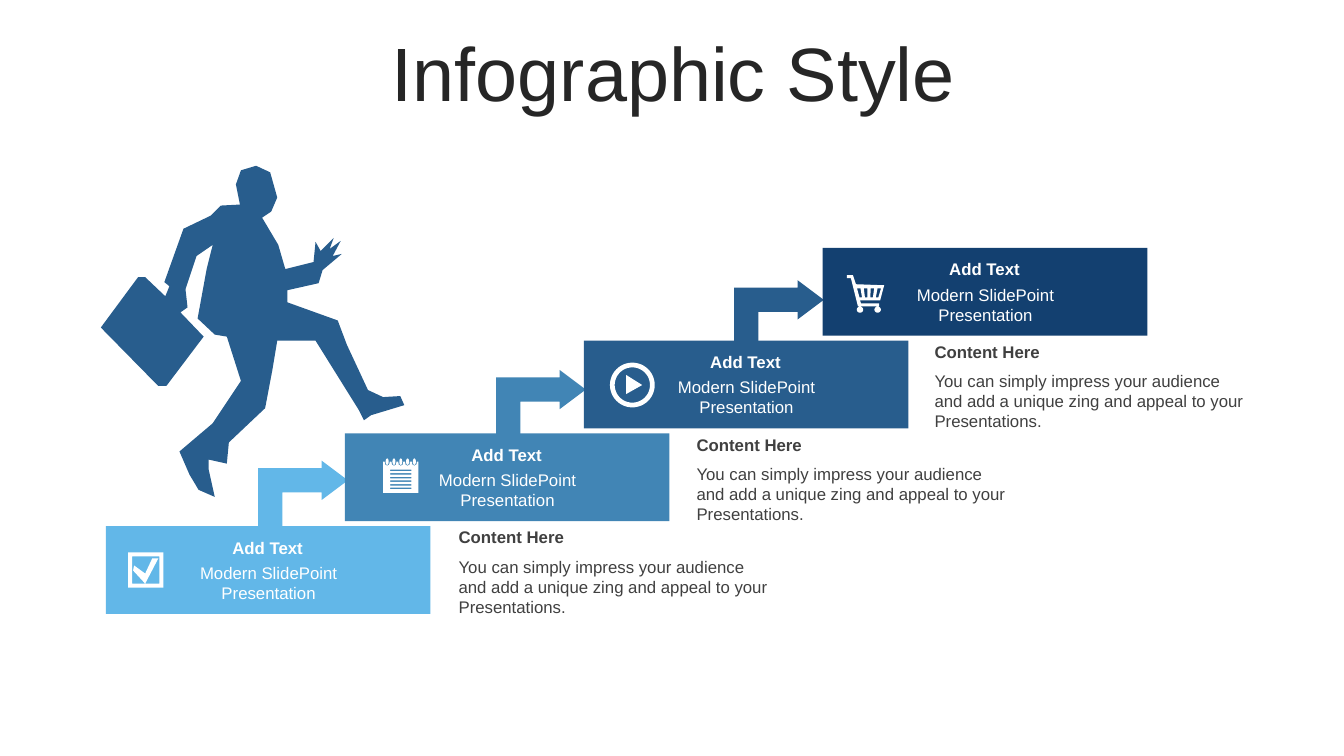
from dataclasses import dataclass
from math import cos, pi, sin

from pptx import Presentation
from pptx.dml.color import RGBColor
from pptx.enum.shapes import MSO_SHAPE
from pptx.enum.text import MSO_ANCHOR, MSO_AUTO_SIZE, PP_ALIGN
from pptx.util import Inches, Pt

Outline = list[tuple[float, float]]

COLORS = {
    "sky": "62B7E8", "steel": "4185B5", "ocean": "285D8D", "navy": "134070",
    "white": "FFFFFF", "body": "404040", "title": "262626",
}
FONT = "Arial"
STEP_RISE = 0.92
BOX_PITCH = 2.37
SIDE_PITCH = 2.36
CAPTION = ("You can simply impress your audience and add a unique zing "
           "and appeal to your Presentations.")


@dataclass
class Step:
    color: str
    icon: list[Outline]
    arrow_top: float | None = None


# Outlines are in hundredths of an inch on the page
def rectangle(left: float, top: float, right: float, bottom: float) -> Outline:
    return [(left, top), (right, top), (right, bottom), (left, bottom)]


def ellipse(x: float, y: float, rx: float, ry: float, count: int = 48) -> Outline:
    angles = [2 * pi * i / count for i in range(count)]
    return [(x + rx * cos(a), y + ry * sin(a)) for a in angles]


def checkbox_icon() -> list[Outline]:
    check = [(132, 566), (133, 561), (144, 569), (151, 554), (157, 554), (144, 579)]
    return [rectangle(127, 548, 162, 583), rectangle(131, 552, 158, 579), check]


def notepad_icon() -> list[Outline]:
    ring_centers = [384 + 6.75 * i for i in range(5)]
    page: Outline = [(380, 458)]
    for x in ring_centers:
        page += [(x - 2.5, 458), (x - 2, 461), (x, 462), (x + 2, 461), (x + 2.5, 458)]
    page += [(415, 458), (415, 489), (380, 489)]
    rings = [ellipse(x, 458, 1.5, 3.2, 16) for x in ring_centers]
    lines = [rectangle(387, 465.8 + 3.6 * i, 408, 467.3 + 3.6 * i) for i in range(6)]
    return [page, *rings, *lines]


def play_icon() -> list[Outline]:
    rims = [ellipse(627.2, 382, radius, radius) for radius in (22.2, 17.5)]
    return [*rims, [(621, 372), (637, 382), (621, 391)]]


def cart_icon() -> list[Outline]:
    frame = [(840, 273), (846, 273), (849, 282), (877, 283), (873, 298), (853, 298),
             (854, 301), (872, 301), (872, 304), (851, 304), (844, 276), (840, 276)]
    slots = [[(850 + 6.8 * i, 286), (853.5 + 6.8 * i, 286),
              (855 + 5.4 * i, 295), (852.5 + 5.4 * i, 295)] for i in range(4)]
    wheels = [ellipse(x, 307.2, 3.2, 3, 20) for x in (853, 870.5)]
    return [frame, *slots, *wheels]


RUNNER: Outline = [
    # Briefcase and rear arm
    (100, 325), (157, 383), (165, 383), (202, 334), (179, 310), (186, 305), (184, 287),
    (195, 254), (211, 243), (205, 267), (196, 316), (213, 332), (225, 334),
    # Rear leg
    (239, 378), (211, 420), (178, 448), (188, 471), (197, 486), (213, 493), (207, 466),
    (207, 456), (225, 460), (227, 439), (263, 405), (270, 368), (275, 338),
    # Front leg
    (313, 338), (356, 407), (361, 417), (368, 412), (401, 402), (397, 393), (380, 394),
    (365, 387), (344, 342), (335, 318), (285, 300), (285, 288),
    # Front arm and hand
    (316, 281), (320, 268), (339, 252), (330, 254), (338, 239), (327, 247), (331, 236),
    (318, 249), (313, 240), (311, 260), (283, 267),
    # Chest, head and shoulder
    (276, 243), (260, 216), (269, 210), (275, 196), (268, 171), (254, 164.5), (239, 169),
    (234, 183), (238, 203), (219, 204), (209, 214), (182, 227), (163, 280), (168, 284),
    (164, 294), (144, 275), (137, 275),
]


def paint(shape, color: str) -> None:
    shape.shadow.inherit = False
    shape.fill.solid()
    shape.fill.fore_color.rgb = RGBColor.from_string(COLORS[color])
    shape.line.fill.background()


def draw_outlines(page, outlines: list[Outline], color: str) -> None:
    builder = None
    for outline in outlines:
        points = [(Inches(x / 100), Inches(y / 100)) for x, y in outline]
        if builder is None:
            builder = page.shapes.build_freeform(*points[0])
        else:
            builder.move_to(*points[0])
        builder.add_line_segments(points[1:], close=True)
    paint(builder.convert_to_shape(), color)


def write(frame, text: str, size: float, color: str, bold: bool = False,
          centered: bool = False):
    para = frame.paragraphs[0]
    para.text = text
    para.font.name, para.font.size, para.font.bold = FONT, Pt(size), bold
    para.font.color.rgb = RGBColor.from_string(COLORS[color])
    para.alignment = PP_ALIGN.CENTER if centered else PP_ALIGN.LEFT
    return para


def add_text(page, left: float, top: float, width: float, height: float, text: str,
             color: str, bold: bool = False, centered: bool = False) -> None:
    box = page.shapes.add_textbox(Inches(left), Inches(top), Inches(width), Inches(height))
    frame = box.text_frame
    frame.word_wrap = True
    frame.auto_size = MSO_AUTO_SIZE.SHAPE_TO_FIT_TEXT
    frame.vertical_anchor = MSO_ANCHOR.MIDDLE if centered else MSO_ANCHOR.TOP
    write(frame, text, 12, color, bold, centered)


def draw_step(page, index: int, step: Step) -> None:
    left, rise = BOX_PITCH * index, STEP_RISE * index
    box = page.shapes.add_shape(MSO_SHAPE.RECTANGLE, Inches(1.05 + left),
                                Inches(5.22 - rise), Inches(3.22), Inches(0.87))
    paint(box, step.color)
    add_text(page, 1.79 + left, 5.28 - rise, 1.73, 0.3, "Add Text", "white", True, True)
    add_text(page, 1.8 + left, 5.53 - rise, 1.73, 0.5,
             "Modern SlidePoint Presentation", "white", centered=True)
    draw_outlines(page, step.icon, "white")
    if step.arrow_top is None:
        return

    # Arrow to the next step
    arrow = page.shapes.add_shape(MSO_SHAPE.BENT_UP_ARROW,
                                  Inches(2.68 + SIDE_PITCH * index),
                                  Inches(step.arrow_top), Inches(0.65), Inches(0.89))
    for place, value in enumerate((0.37, 0.3, 0.4)):
        arrow.adjustments[place] = value
    arrow.rotation = 270
    arrow._element.spPr.xfrm.set("flipV", "1")
    paint(arrow, step.color)


def main() -> None:
    deck = Presentation()
    deck.slide_width, deck.slide_height = Inches(13.33), Inches(7.5)
    page = deck.slides.add_slide(deck.slide_layouts[5])

    # Title
    title = page.shapes.title
    title.left, title.top = Inches(0.35), Inches(0.37)
    title.width, title.height = Inches(12.66), Inches(0.79)
    title.text_frame.auto_size = MSO_AUTO_SIZE.NONE
    title.text_frame.vertical_anchor = MSO_ANCHOR.MIDDLE
    write(title.text_frame, "Infographic Style", 54, "title", centered=True).line_spacing = 0.9

    # Staircase
    steps = [Step("sky", checkbox_icon(), 4.45), Step("steel", notepad_icon(), 3.55),
             Step("ocean", play_icon(), 2.66), Step("navy", cart_icon())]
    for index, step in enumerate(steps):
        draw_step(page, index, step)

    # Captions beside the lower three steps
    for index in range(3):
        left, rise = 4.45 + SIDE_PITCH * index, STEP_RISE * index
        add_text(page, left, 5.18 - rise, 3.35, 0.3, "Content Here", "body", True)
        add_text(page, left, 5.47 - rise, 3.35, 0.71, CAPTION, "body")

    # Running businessman
    draw_outlines(page, [RUNNER], "ocean")
    deck.save("out.pptx")


if __name__ == "__main__":
    main()
